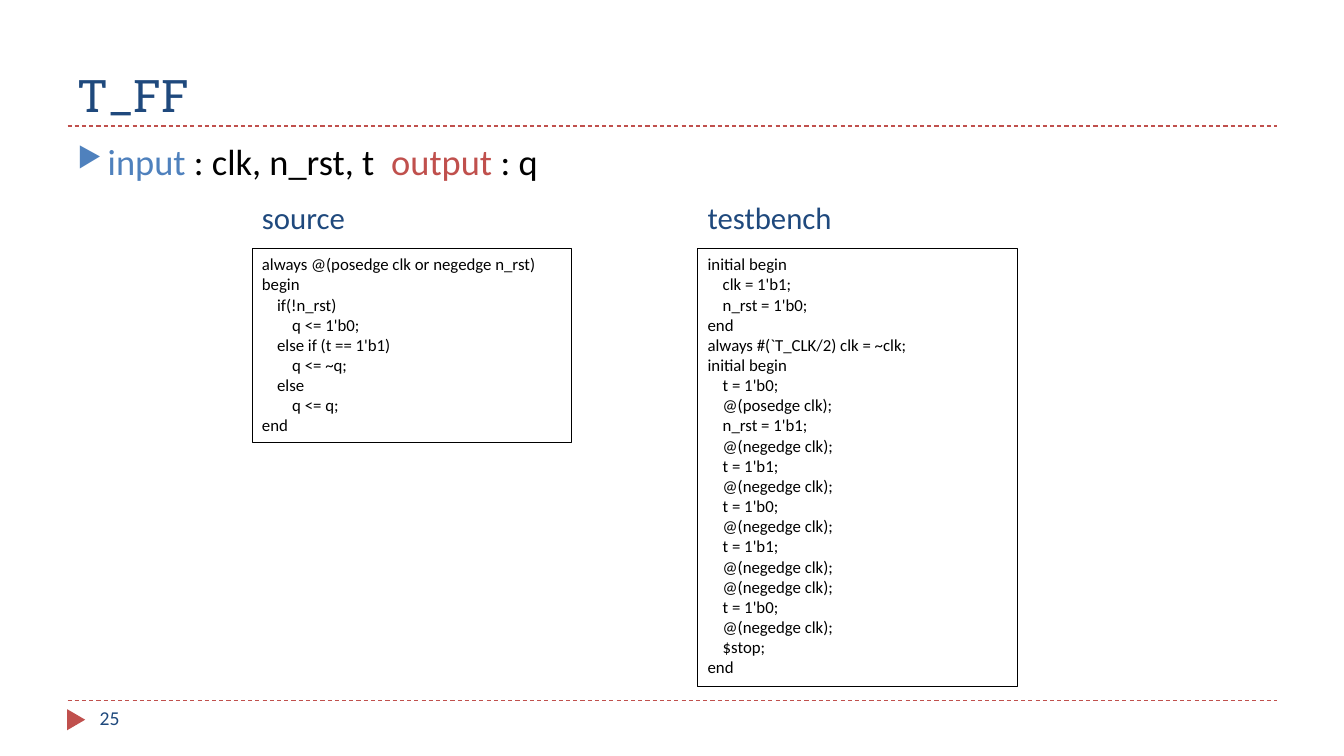
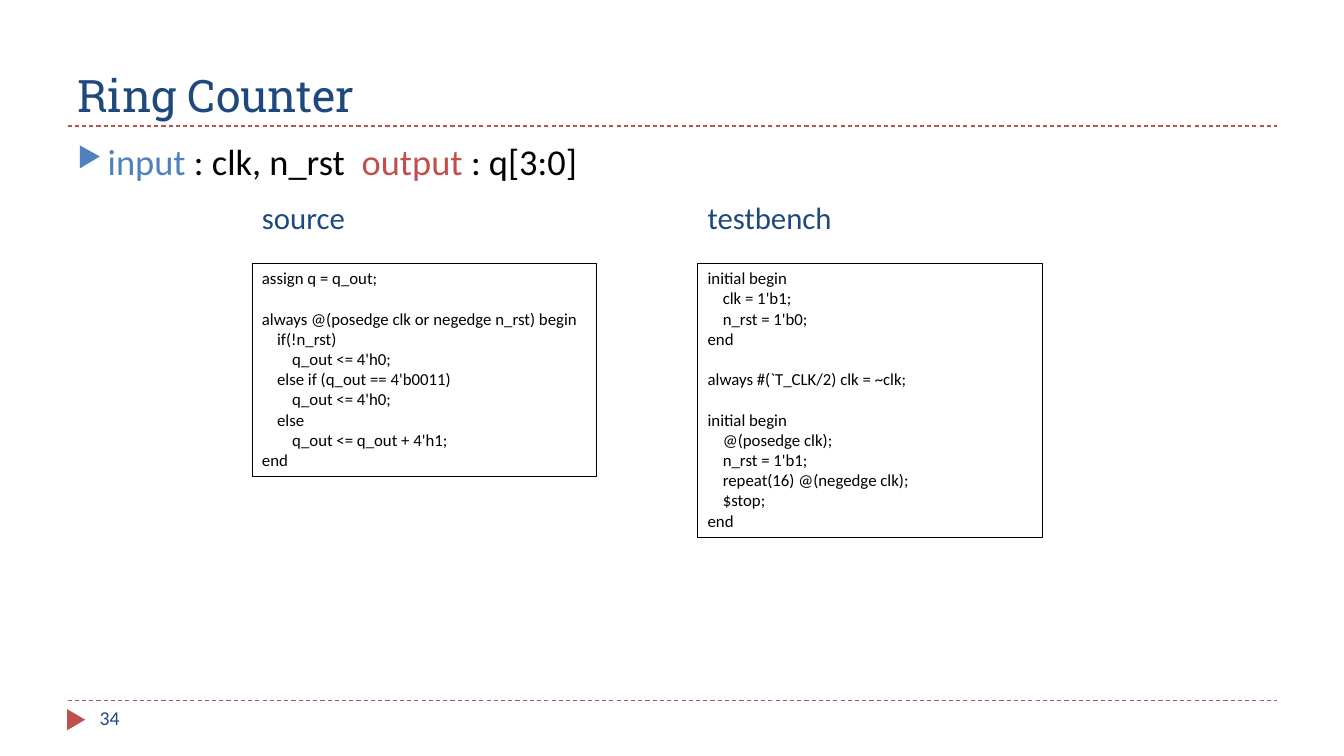
from lxml import etree
from pptx import Presentation
from pptx.dml.color import RGBColor
from pptx.enum.dml import MSO_LINE
from pptx.enum.shapes import MSO_CONNECTOR, MSO_SHAPE
from pptx.enum.text import MSO_ANCHOR, MSO_AUTO_SIZE, PP_ALIGN
from pptx.oxml.ns import qn
from pptx.util import Inches, Pt

NAVY, BLUE, RED, BLACK = "1F497D", "4F81BD", "C0504D", "000000"
TITLE = {"name": "Roboto Slab", "size": Pt(32)}
PORTS = {"name": "Calibri", "size": Pt(26)}
HEADING = {"name": "Calibri", "size": Pt(22)}
NUMBER = {"name": "Calibri", "size": Pt(14)}
CODE = {"name": "Calibri", "size": Pt(12)}

MARGIN, CONTENT_WIDTH = 0.67, 12
TITLE_RULE, FOOTER_RULE = 1.25, 6.95
COLUMNS = {"source": 2.5, "testbench": 6.92}
LINE_HEIGHT = Pt(14.54)

T_FF_SOURCE = """\
always @(posedge clk or negedge n_rst)
begin
    if(!n_rst)
        q <= 1'b0;
    else if (t == 1'b1)
        q <= ~q;
    else
        q <= q;
end"""

T_FF_TESTBENCH = """\
initial begin
    clk = 1'b1;
    n_rst = 1'b0;
end
always #(`T_CLK/2) clk = ~clk;
initial begin
    t = 1'b0;
    @(posedge clk);
    n_rst = 1'b1;
    @(negedge clk);
    t = 1'b1;
    @(negedge clk);
    t = 1'b0;
    @(negedge clk);
    t = 1'b1;
    @(negedge clk);
    @(negedge clk);
    t = 1'b0;
    @(negedge clk);
    $stop;
end"""

RING_SOURCE = """\
assign q = q_out;

always @(posedge clk or negedge n_rst) begin
    if(!n_rst)
        q_out <= 4'h0;
    else if (q_out == 4'b0011)
        q_out <= 4'h0;
    else
        q_out <= q_out + 4'h1;
end"""

RING_TESTBENCH = """\
initial begin
    clk = 1'b1;
    n_rst = 1'b0;
end

always #(`T_CLK/2) clk = ~clk;

initial begin
    @(posedge clk);
    n_rst = 1'b1;
    repeat(16) @(negedge clk);
    $stop;
end"""

SLIDES = [
    {"title": "T_FF", "number": 25, "inputs": "clk, n_rst, t", "outputs": "q",
     "code_top": 2.47, "code_width": 3.17,
     "code": {"source": T_FF_SOURCE, "testbench": T_FF_TESTBENCH}},
    {"title": "Ring Counter", "number": 34, "inputs": "clk, n_rst", "outputs": "q[3:0]",
     "code_top": 2.61, "code_width": 3.42,
     "code": {"source": RING_SOURCE, "testbench": RING_TESTBENCH}},
]


def color(hex_value):
    return RGBColor.from_string(hex_value)


def add_run(paragraph, text, style, hex_value):
    run = paragraph.add_run()
    run.text = text
    for attribute, value in style.items():
        setattr(run.font, attribute, value)
    run.font.color.rgb = color(hex_value)


def add_text_box(slide, left, top, width, height, anchor=MSO_ANCHOR.TOP):
    """Add an empty wrapping text box and return its first paragraph."""
    box = slide.shapes.add_textbox(Inches(left), Inches(top), Inches(width), Inches(height))
    box.text_frame.word_wrap = True
    box.text_frame.vertical_anchor = anchor
    return box.text_frame.paragraphs[0]


def add_rule(slide, top):
    rule = slide.shapes.add_connector(
        MSO_CONNECTOR.STRAIGHT, Inches(MARGIN), Inches(top),
        Inches(MARGIN + CONTENT_WIDTH), Inches(top))
    rule.line.color.rgb = color(RED)
    rule.line.width = Pt(0.75)
    rule.line.dash_style = MSO_LINE.DASH
    etree.SubElement(rule.element.spPr, qn("a:effectLst"))


def add_frame(slide, title, number):
    """Add the title, both rules and the page number with its marker."""
    add_rule(slide, FOOTER_RULE)
    add_rule(slide, TITLE_RULE)
    marker = slide.shapes.add_shape(
        MSO_SHAPE.ISOSCELES_TRIANGLE, Inches(0.65), Inches(FOOTER_RULE + 0.1),
        Inches(0.21), Inches(0.18))
    marker.rotation = 90
    marker.shadow.inherit = False
    marker.fill.solid()
    marker.fill.fore_color.rgb = color(RED)
    marker.line.fill.background()
    heading = add_text_box(slide, MARGIN, 0.17, CONTENT_WIDTH, 1.08, MSO_ANCHOR.BOTTOM)
    add_run(heading, title, TITLE, NAVY)
    footer = add_text_box(slide, 0.89, FOOTER_RULE, 2.89, 0.4)
    add_run(footer, str(number), NUMBER, NAVY)


def set_bullet(paragraph, character, hex_value, percent, indent):
    properties = paragraph._p.get_or_add_pPr()
    properties.set("marL", str(Inches(indent)))
    properties.set("indent", str(-Inches(indent)))
    bullet_color = etree.SubElement(properties, qn("a:buClr"))
    etree.SubElement(bullet_color, qn("a:srgbClr"), val=hex_value)
    etree.SubElement(properties, qn("a:buSzPct"), val=str(percent * 1000))
    etree.SubElement(properties, qn("a:buChar"), char=character)


def add_ports(slide, inputs, outputs):
    paragraph = add_text_box(slide, MARGIN, 1.33, CONTENT_WIDTH, 0.55)
    set_bullet(paragraph, "▶", BLUE, 76, 0.3)
    for text, hex_value in (("input", BLUE), (f" : {inputs}  ", BLACK),
                            ("output", RED), (f" : {outputs}", BLACK)):
        add_run(paragraph, text, PORTS, hex_value)


def add_code_box(slide, left, top, width, code):
    """Add a listing as tall as its lines; a blank line becomes space before the next."""
    lines = code.splitlines()
    box = slide.shapes.add_shape(
        MSO_SHAPE.RECTANGLE, Inches(left), Inches(top), Inches(width),
        Inches(0.1) + len(lines) * LINE_HEIGHT)
    box.shadow.inherit = False
    box.fill.background()
    box.line.color.rgb = color(BLACK)
    box.line.width = Pt(0.75)
    frame = box.text_frame
    frame.word_wrap = True
    frame.auto_size = MSO_AUTO_SIZE.SHAPE_TO_FIT_TEXT
    frame.vertical_anchor = MSO_ANCHOR.TOP
    for index, line in enumerate(lines):
        if not line:
            continue
        paragraph = frame.add_paragraph() if index else frame.paragraphs[0]
        paragraph.alignment = PP_ALIGN.LEFT
        if index and not lines[index - 1]:
            paragraph.space_before = LINE_HEIGHT
        add_run(paragraph, line, CODE, BLACK)


def add_code_slide(presentation, content):
    slide = presentation.slides.add_slide(presentation.slide_layouts[6])
    add_frame(slide, content["title"], content["number"])
    add_ports(slide, content["inputs"], content["outputs"])
    for name, left in COLUMNS.items():
        add_run(add_text_box(slide, left, 1.92, 2.25, 0.47), name, HEADING, NAVY)
        add_code_box(slide, left, content["code_top"], content["code_width"],
                     content["code"][name])


def main():
    presentation = Presentation()
    presentation.slide_width = Inches(13.33)
    presentation.slide_height = Inches(7.5)
    for content in SLIDES:
        add_code_slide(presentation, content)
    presentation.save("out.pptx")


if __name__ == "__main__":
    main()
